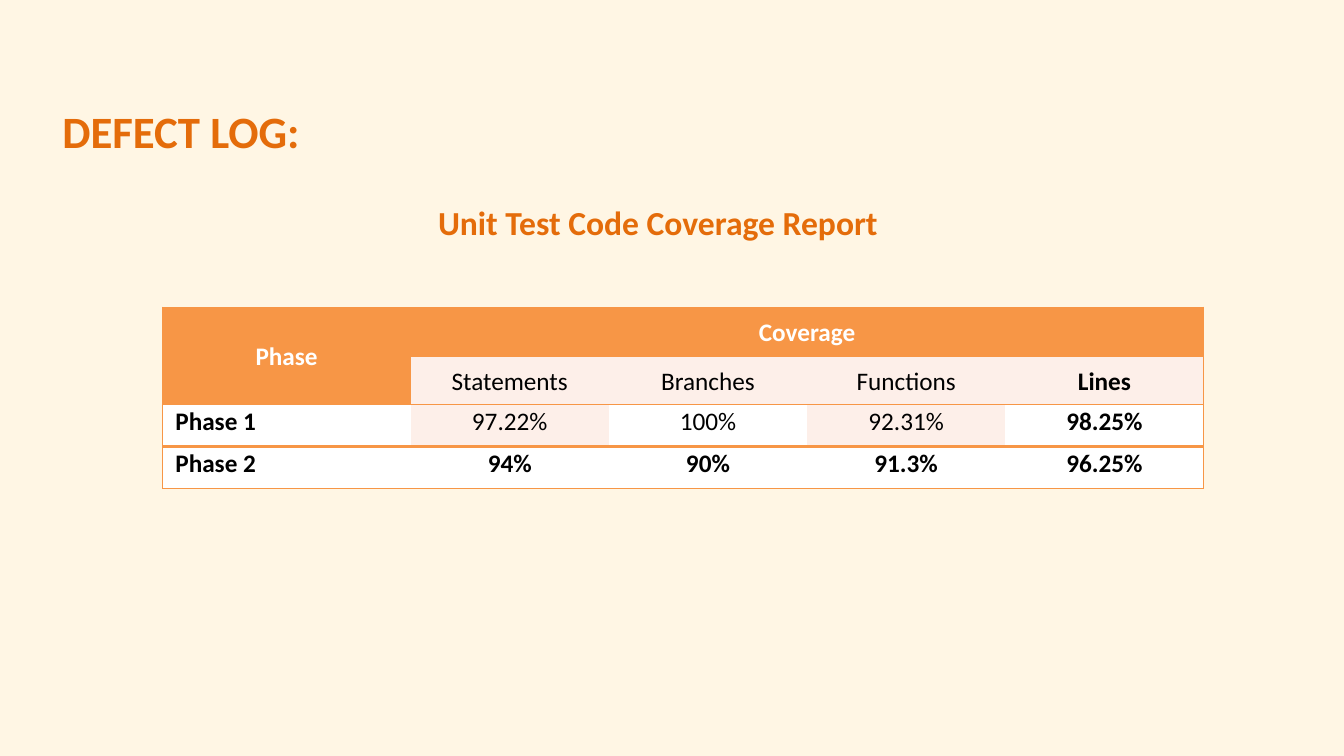
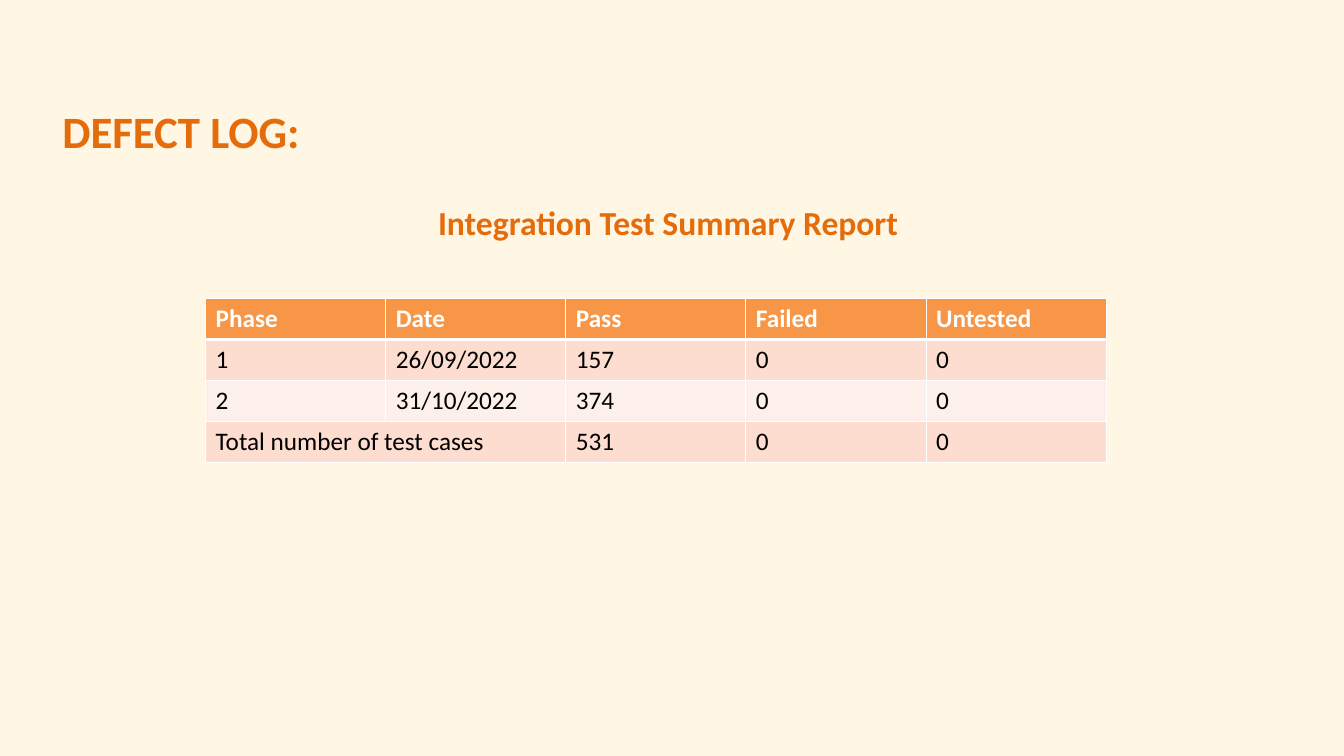
"""Build the two defect log slides: unit coverage and integration summary."""
from lxml import etree
from pptx import Presentation
from pptx import util as u
from pptx.dml.color import RGBColor
from pptx.enum import text
from pptx.oxml.ns import qn

COLS, ROWS = 20, 11.25
UNIT = u.Inches(1)
FONT = "Calibri"
HUES = {"page": "FFF6E4", "title": "E46C0A", "head": "F79646", "pale": "FDEFE9",
        "band": "FCDDCF", "white": "FFFFFF", "black": "000000"}

UNIT_ROWS = [
    ["Phase", "Coverage", "", "", ""],
    ["", "Statements", "Branches", "Functions", "Lines"],
    ["Phase 1", "97.22%", "100%", "92.31%", "98.25%"],
    ["Phase 2", "94%", "90%", "91.3%", "96.25%"],
]
TEST_ROWS = [
    ["Phase", "Date", "Pass", "Failed", "Untested"],
    ["1", "26/09/2022", "157", "0", "0"],
    ["2", "31/10/2022", "374", "0", "0"],
    ["Total number of test cases", "", "531", "0", "0"],
]


def span(size):
    """Turn grid units into a length."""
    return u.Emu(round(size * UNIT))


def hue(name):
    """Look up a colour by name."""
    return RGBColor.from_string(HUES[name])


def style(font, size, color, bold):
    """Apply the deck font and the given format."""
    for key, value in {"name": FONT, "size": u.Pt(size), "bold": bold}.items():
        setattr(font, key, value)
    font.color.rgb = hue(color)


def label(slide, box, words, size, wrap):
    """Add a bold heading."""
    frame = slide.shapes.add_textbox(*map(span, box)).text_frame
    frame.word_wrap = wrap
    frame.auto_size = text.MSO_AUTO_SIZE.SHAPE_TO_FIT_TEXT
    run = frame.paragraphs[0].add_run()
    run.text = words
    style(run.font, size, "title", True)


def edge(cell, lines):
    """Draw the cell borders, hiding each side that is not listed."""
    props = cell._tc.get_or_add_tcPr()
    for spot, side in enumerate("LRTB"):
        line = etree.Element(qn(f"a:ln{side}"))
        if side in lines:
            color, width = lines[side]
            line.set("w", str(u.Pt(width)))
            fill = etree.SubElement(line, qn("a:solidFill"))
            etree.SubElement(fill, qn("a:srgbClr"), val=HUES[color])
        else:
            etree.SubElement(line, qn("a:noFill"))
        props.insert(spot, line)


def grid(slide, spot, widths, heights, rows, merges, look):
    """Add a table whose cells are formatted by the look function."""
    box = (*spot, sum(widths), sum(heights))
    table = slide.shapes.add_table(len(rows), len(widths), *map(span, box)).table
    for col, width in zip(table.columns, widths):
        col.width = span(width)
    for row, height in zip(table.rows, heights):
        row.height = span(height)
    for first, last in merges:
        table.cell(*first).merge(table.cell(*last))
    for r, row in enumerate(rows):
        for c, words in enumerate(row):
            cell = table.cell(r, c)
            end = c + (cell.span_width if cell.is_merge_origin else 1)
            form = look(r, c, end == len(row))
            cell.fill.solid()
            cell.fill.fore_color.rgb = hue(form["fill"])
            cell.vertical_anchor = form.get("anchor", text.MSO_ANCHOR.TOP)
            side, top = form["pad"]
            for name, gap in {"left": side, "right": side, "top": top, "bottom": top}.items():
                setattr(cell, f"margin_{name}", span(gap))
            edge(cell, form["lines"])
            para = cell.text_frame.paragraphs[0]
            para.alignment = form.get("align", text.PP_ALIGN.LEFT)
            para.line_spacing = form.get("lead", 1.0)
            if words:
                run = para.add_run()
                run.text = words
                style(run.font, 27, form["ink"], form["bold"])


def unit_look(r, c, last):
    """Format a cell of the coverage table."""
    head = r == 0 or (r == 1 and c == 0)
    pale = r == 1 or (r == 2 and c in (1, 3))
    lines = {"T": ("head", 4 if r == 3 else 1), "B": ("head", 1)}
    if c == 0:
        lines["L"] = ("head", 1)
    if last:
        lines["R"] = ("head", 1)
    return {
        "fill": "head" if head else "pale" if pale else "white",
        "ink": "white" if head else "black",
        "bold": head or r == 3 or c in (0, 4),
        "pad": (0.25, 0.12) if head else (0.19, 0),
        "anchor": text.MSO_ANCHOR.MIDDLE if r < 2 else text.MSO_ANCHOR.TOP,
        "align": text.PP_ALIGN.LEFT if r > 1 and c == 0 else text.PP_ALIGN.CENTER,
        "lead": 1.07,
        "lines": lines,
    }


def test_look(r, c, last):
    """Format a cell of the summary table."""
    lines = {side: ("white", 1) for side in "LRTB"}
    if r < 2:
        lines["T" if r else "B"] = ("white", 3)
    return {
        "fill": "head" if r == 0 else "band" if r % 2 else "pale",
        "ink": "black" if r else "white",
        "bold": r == 0,
        "pad": (0.15, 0.08),
        "lines": lines,
    }


def page(deck, words, width):
    """Add a slide with the shared title and its own heading."""
    slide = deck.slides.add_slide(deck.slide_layouts[6])
    slide.background.fill.solid()
    slide.background.fill.fore_color.rgb = hue("page")
    label(slide, (0.83, 1.49, 5.83, 0.91), "DEFECT LOG:", 48, True)
    label(slide, (6.42, 2.96, width, 0.71), words, 36, False)
    return slide


def main():
    """Build and save the deck."""
    deck = Presentation()
    deck.slide_width, deck.slide_height = span(COLS), span(ROWS)
    slide = page(deck, "Unit Test Code Coverage Report", 6.81)
    grid(slide, (2.42, 4.57), [3.69] + [2.95] * 4, [0.73, 0.68, 0.62, 0.62],
         UNIT_ROWS, [((0, 0), (1, 0)), ((0, 1), (0, 4))], unit_look)
    slide = page(deck, "Integration Test Summary Report", 7.12)
    grid(slide, (3.06, 4.44), [2.68] * 5, [0.61] * 4,
         TEST_ROWS, [((3, 0), (3, 1))], test_look)
    deck.save("out.pptx")


if __name__ == "__main__":
    main()
